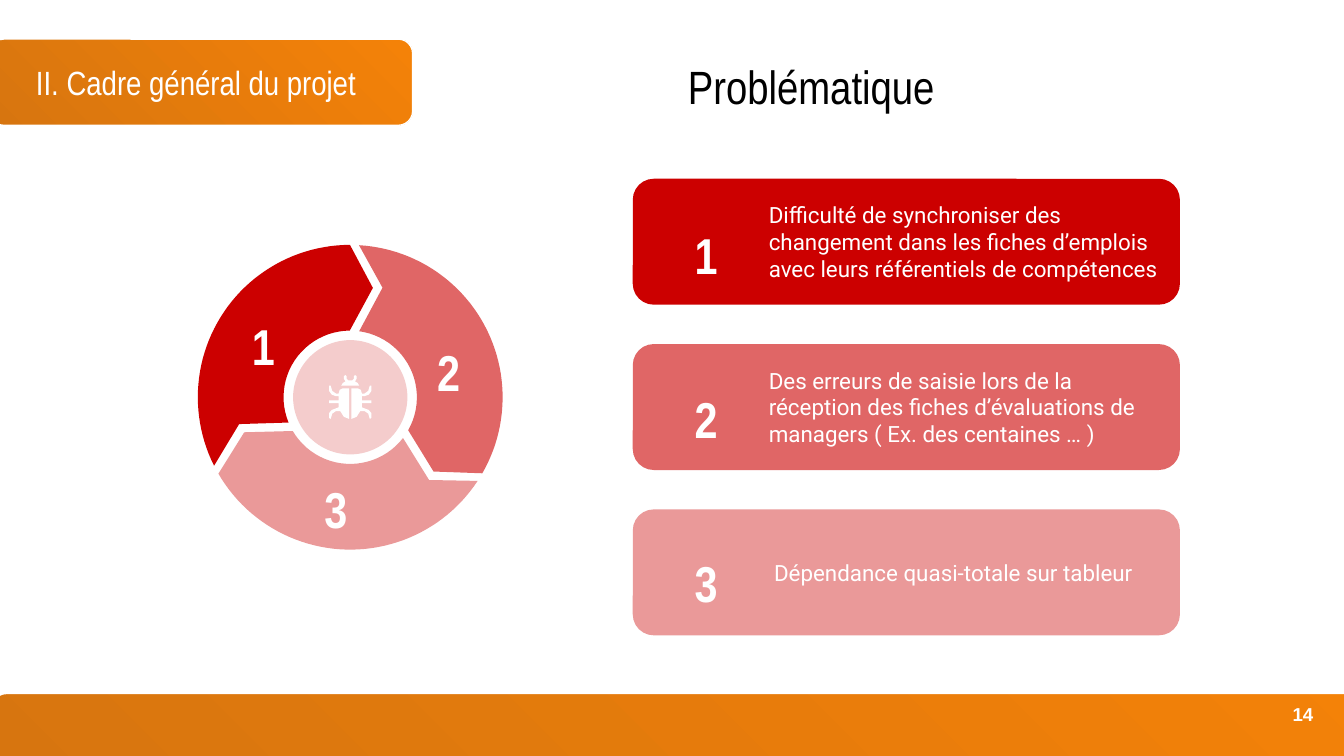
from math import cos, radians, sin

from lxml.etree import SubElement
from pptx import Presentation
from pptx.dml.color import RGBColor
from pptx.enum.shapes import MSO_SHAPE
from pptx.enum.text import MSO_ANCHOR, PP_ALIGN
from pptx.oxml.ns import qn
from pptx.util import Cm, Pt


def paint(fill, colour):
    fill.solid()
    fill.fore_color.rgb = RGBColor.from_string(colour)


def write(box, text, font, size, align=PP_ALIGN.LEFT, anchor=MSO_ANCHOR.MIDDLE,
          side=0.25, edge=0.25, bold=False, spacing=1.0, colour="FFFFFF"):
    frame = box.text_frame
    frame.word_wrap = True
    frame.vertical_anchor = anchor
    frame.margin_left = frame.margin_right = Cm(side)
    frame.margin_top = frame.margin_bottom = Cm(edge)
    para = frame.paragraphs[0]
    para.alignment = align
    para.line_spacing = spacing
    para.space_before = Pt(0)
    span = para.add_run()
    span.text = text
    span.font.name = font
    span.font.size = Pt(size)
    span.font.bold = bold
    paint(span.font.fill, colour)


deck = Presentation()
deck.slide_width = Cm(25.4)
deck.slide_height = Cm(14.29)
page = deck.slides.add_slide(deck.slide_layouts[5])
shapes = page.shapes
paint(page.background.fill, "FFFFFF")

title = shapes.title
title.left, title.top, title.width, title.height = Cm(3.94), Cm(0.94), Cm(22.78), Cm(1.35)
write(title, "Problématique", "Arial Narrow", 25, PP_ALIGN.CENTER, colour="000000")

for left, top, width, height in [(-0.15, 13.11, 26.75, 1.63), (-0.2, 0.74, 8, 1.63)]:
    banner = shapes.add_shape(MSO_SHAPE.ROUNDED_RECTANGLE, Cm(left), Cm(top), Cm(width), Cm(height))
    banner.shadow.inherit = False
    paint(banner.line.fill, "FFFFFF")
    banner.line.width = Pt(0.75)
    banner.fill.gradient()
    for stop, colour in zip(banner.fill.gradient_stops, ["F48208", "D7750F"]):
        stop.color.rgb = RGBColor.from_string(colour)
    gradient = banner.element.spPr.find(qn("a:gradFill"))
    gradient.remove(gradient.find(qn("a:lin")))
    radial = SubElement(gradient, qn("a:path"), {"path": "circle"})
    SubElement(radial, qn("a:fillToRect"), {"l": "100000", "b": "100000"})

section = shapes.add_textbox(Cm(0.43), Cm(1.19), Cm(8.3), Cm(0.71))
write(section, "II. Cadre général du projet", "Arial Narrow", 18)
number = shapes.add_textbox(Cm(23.55), Cm(12.95), Cm(1.52), Cm(1.09))
write(number, "14", "Arial", 10, PP_ALIGN.RIGHT, bold=True)

centre_x, centre_y = 6.62, 7.51
hub = shapes.add_shape(MSO_SHAPE.OVAL, Cm(centre_x - 1.08), Cm(centre_y - 1.08), Cm(2.16), Cm(2.16))
hub.shadow.inherit = False
paint(hub.fill, "F4CCCC")
hub.line.fill.background()

bug_side = [
    (6.22, 7.29), (6.22, 7.39), (6.27, 7.46), (6.35, 7.49), (6.4, 7.49), (6.4, 7.57),
    (6.22, 7.57), (6.22, 7.62), (6.4, 7.62), (6.4, 7.7), (6.35, 7.72), (6.27, 7.75),
    (6.22, 7.81), (6.22, 7.9), (6.25, 7.92), (6.28, 7.82), (6.35, 7.77), (6.43, 7.77),
    (6.5, 7.88), (6.6, 7.92), (6.6, 7.34), (6.48, 7.34), (6.42, 7.37), (6.4, 7.44),
    (6.35, 7.44), (6.28, 7.39), (6.25, 7.29),
]
head_side = [
    (6.62, 7.19), (6.58, 7.19), (6.55, 7.16), (6.55, 7.11), (6.53, 7.09),
    (6.5, 7.11), (6.5, 7.16), (6.53, 7.21), (6.48, 7.24), (6.45, 7.29),
]
mirrored_bug, mirrored_head = [
    [(2 * centre_x - x, y) for x, y in side] for side in (bug_side, head_side)
]
outlines = [
    (bug_side, "FFFFFF"),
    (head_side + mirrored_head[::-1], "FFFFFF"),
    (mirrored_bug, "FFFFFF"),
]

ring_colours = ["E06666", "EA9999", "CC0000"]
for turn, colour in enumerate(ring_colours):
    polar = [(2.88, 116.6 * step / 48) for step in range(49)]
    polar.append((2.11, 128.4))
    polar += [(1.26, 116.3 - 111.9 * step / 24) for step in range(25)]
    polar.append((2.16, 13.1))
    start = -86.7 + 120 * turn
    points = [
        (centre_x + radius * cos(radians(start + angle)),
         centre_y + radius * sin(radians(start + angle)))
        for radius, angle in polar
    ]
    outlines.append((points, colour))

for points, colour in outlines:
    corners = [(Cm(x), Cm(y)) for x, y in points]
    builder = shapes.build_freeform(*corners[0])
    builder.add_line_segments(corners[1:], close=True)
    outline = builder.convert_to_shape()
    outline.shadow.inherit = False
    paint(outline.fill, colour)
    outline.line.fill.background()

cards = [
    ("CC0000", "Difficulté de synchroniser des changement dans les fiches d’emplois "
     "avec leurs référentiels de compétences", 14.53, 4.06),
    ("E06666", "Des erreurs de saisie lors de la réception des fiches d’évaluations "
     "de managers ( Ex. des centaines … )", 14.53, 7.16),
    ("EA9999", "Dépendance quasi-totale sur tableur", 14.63, 10.26),
]
labels = [("1", 4.42, 5.79, 1.12), ("2", 7.92, 6.27, 1.12), ("3", 5.79, 8.86, 1.12)]
for row, (colour, text, left, label_top) in enumerate(cards):
    top = 3.38 + 3.125 * row
    card = shapes.add_shape(MSO_SHAPE.ROUNDED_RECTANGLE, Cm(11.96), Cm(top), Cm(10.34), Cm(2.38))
    card.shadow.inherit = False
    paint(card.fill, colour)
    card.line.fill.background()
    detail = shapes.add_textbox(Cm(left), Cm(top + 0.4), Cm(7.57), Cm(1.58))
    write(detail, text, "Roboto", 12, side=0, edge=0)
    labels.append((str(row + 1), 11.96, label_top, 2.77))

for text, left, top, width in labels:
    label = shapes.add_textbox(Cm(left), Cm(top), Cm(width), Cm(1.09))
    write(label, text, "Arial Narrow", 27, PP_ALIGN.CENTER, MSO_ANCHOR.TOP,
          edge=0, bold=True, spacing=1.15)

deck.save("out.pptx")
